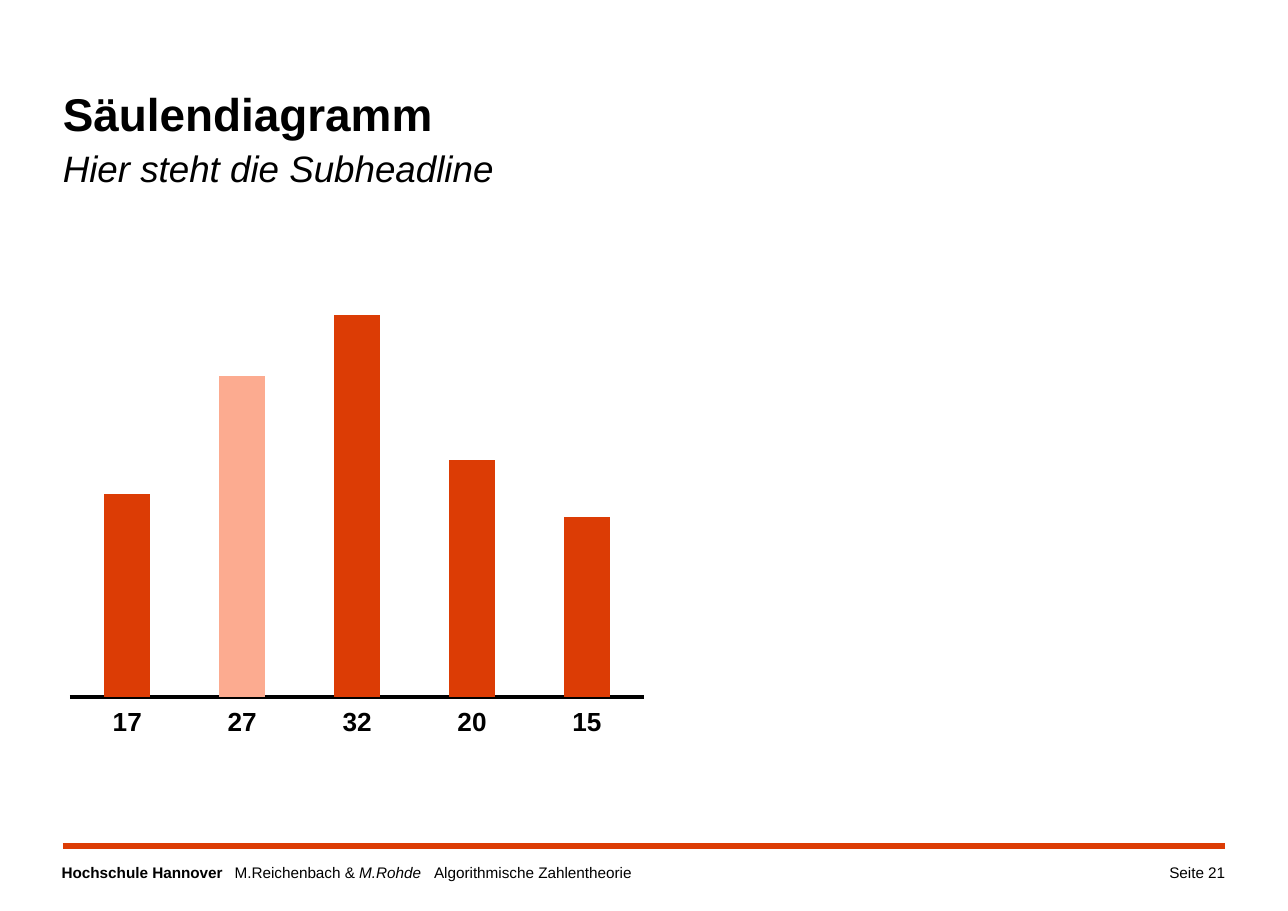
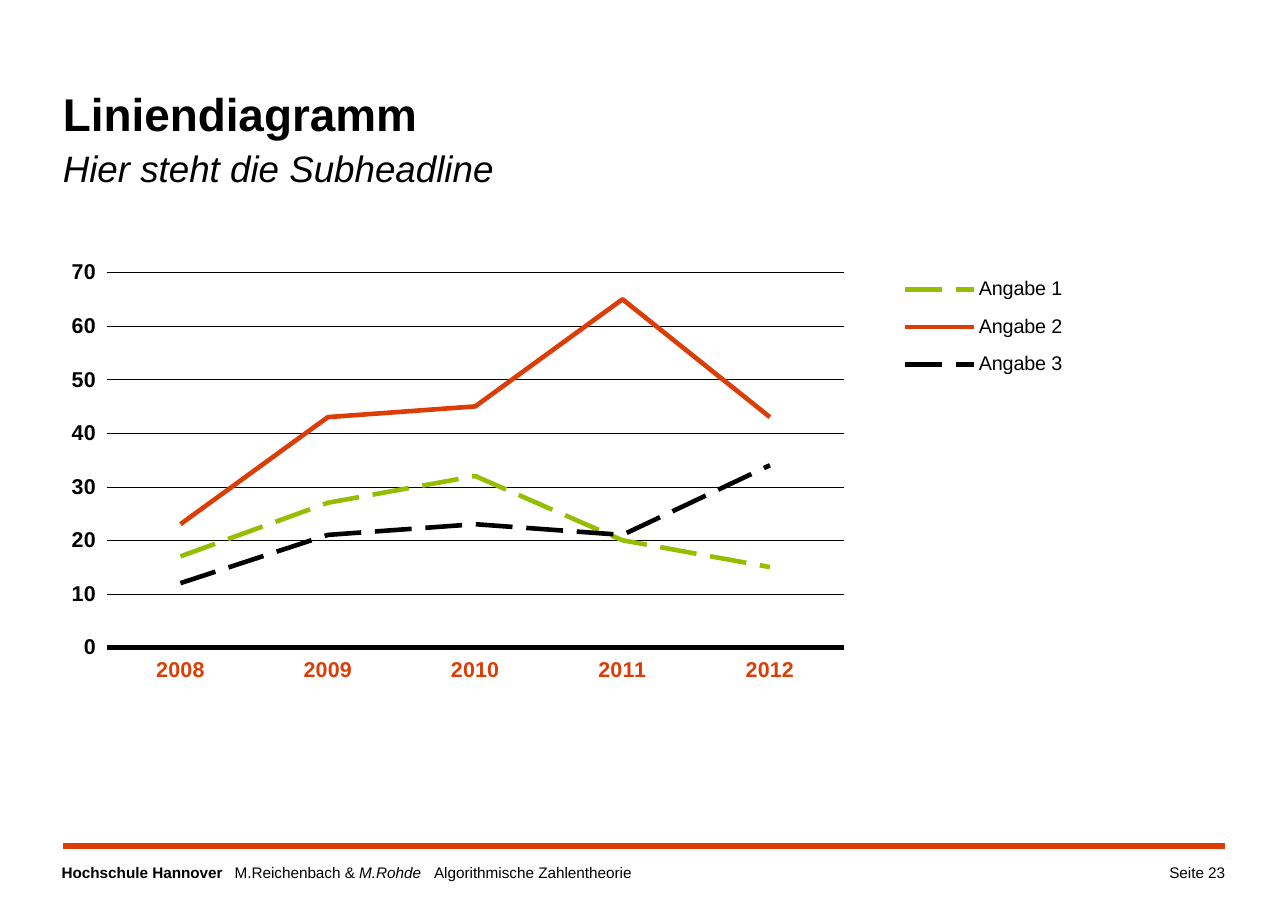
from dataclasses import dataclass
from typing import Any, Optional, Sequence

import lxml.etree
import pptx
import pptx.chart.data
import pptx.dml.color
import pptx.enum.chart
import pptx.enum.dml
import pptx.enum.shapes
import pptx.enum.text
import pptx.oxml.ns
import pptx.util

FONT = "Arial"
BLACK, WHITE = "000000", "FFFFFF"
ORANGE, PALE_ORANGE, GREEN = "DC3C05", "FCAB90", "96BE00"
LEFT, RIGHT = 0.57, 11.12
AXIS_LINE = 3

Inches = pptx.util.Inches
Pt = pptx.util.Pt
qn = pptx.oxml.ns.qn
Align = pptx.enum.text.PP_ALIGN
Dash = pptx.enum.dml.MSO_LINE_DASH_STYLE
ChartType = pptx.enum.chart.XL_CHART_TYPE
TickMark = pptx.enum.chart.XL_TICK_MARK


@dataclass
class Box:
    left: float
    top: float
    width: float
    height: float

    def lengths(self) -> list:
        return [Inches(v) for v in (self.left, self.top, self.width, self.height)]


@dataclass
class Run:
    text: str
    size: float = 10
    bold: bool = False
    italic: bool = False


@dataclass
class Series:
    name: str
    values: Sequence[int]
    color: str = ORANGE
    dash: Optional[Any] = None


FOOTER = [
    Run("Hochschule Hannover\t", bold=True),
    Run("M.Reichenbach & "),
    Run("M.Rohde\t", italic=True),
    Run("Algorithmische Zahlentheorie"),
]
FOOTER_TABS = (1.57, 3.38)

COLUMNS = Series("Series 1", (53, 84, 100, 62, 47))
HIGHLIGHTED_COLUMN = 1
LINES = [
    Series("Angabe 1", (17, 27, 32, 20, 15), GREEN, Dash.LONG_DASH),
    Series("Angabe 2", (23, 43, 45, 65, 43), ORANGE),
    Series("Angabe 3", (12, 21, 23, 21, 34), BLACK, Dash.LONG_DASH),
]


def rgb(color: str) -> pptx.dml.color.RGBColor:
    return pptx.dml.color.RGBColor.from_string(color)


def style_font(font: Any, size: float, color: str = BLACK, bold: bool = False,
               italic: bool = False) -> None:
    font.name, font.size = FONT, Pt(size)
    font.bold, font.italic = bold, italic
    font.color.rgb = rgb(color)


def style_line(line: Any, color: str, width: float) -> None:
    line.color.rgb = rgb(color)
    line.width = Pt(width)


def add_text(slide: Any, box: Box, lines: Sequence[Sequence[Run]], *,
             align: Any = Align.LEFT, spacing: float = 1.0,
             tabs: Sequence[float] = ()) -> None:
    """Write one paragraph whose lines are parted by line breaks."""
    frame = slide.shapes.add_textbox(*box.lengths()).text_frame
    frame.word_wrap = True
    frame.margin_left = frame.margin_right = 0
    frame.margin_top = frame.margin_bottom = 0
    paragraph = frame.paragraphs[0]
    paragraph.alignment = align
    paragraph.line_spacing = spacing
    if tabs:
        properties = paragraph._p.get_or_add_pPr()
        stops = lxml.etree.SubElement(properties, qn("a:tabLst"))
        for position in tabs:
            lxml.etree.SubElement(stops, qn("a:tab"), pos=str(Inches(position)), algn="l")
    for number, line in enumerate(lines):
        if number:
            paragraph.add_line_break()
        for part in line:
            run = paragraph.add_run()
            run.text = part.text
            style_font(run.font, part.size, bold=part.bold, italic=part.italic)


def add_slide(deck: Any, title: str, page: int) -> Any:
    """Add a slide with headline, footer rule, footer and page number."""
    slide = deck.slides.add_slide(deck.slide_layouts[6])
    slide.background.fill.solid()
    slide.background.fill.fore_color.rgb = rgb(WHITE)
    add_text(slide, Box(LEFT, 0.73, RIGHT - LEFT, 1.04),
             [[Run(title, 30, bold=True)],
              [Run("Hier steht die Subheadline", 24, italic=True)]], spacing=1.1)
    rule = slide.shapes.add_connector(
        pptx.enum.shapes.MSO_CONNECTOR.STRAIGHT,
        Inches(LEFT), Inches(7.68), Inches(RIGHT), Inches(7.68))
    style_line(rule.line, ORANGE, 4)
    lxml.etree.SubElement(rule._element.spPr, qn("a:effectLst"))
    add_text(slide, Box(0.56, 7.84, 8.44, 0.24), [FOOTER], tabs=FOOTER_TABS)
    add_text(slide, Box(9.78, 7.84, RIGHT - 9.78, 0.25), [[Run(f"Seite {page}")]],
             align=Align.RIGHT)
    return slide


def place_part(parent: Any, index: int, area: Box, inner: bool = False) -> None:
    """Fix a chart part at fractions of the chart's size."""
    for old in parent.findall(qn("c:layout")):
        parent.remove(old)
    layout = lxml.etree.Element(qn("c:layout"))
    manual = lxml.etree.SubElement(layout, qn("c:manualLayout"))
    settings = [("layoutTarget", "inner")] if inner else []
    settings += [("xMode", "edge"), ("yMode", "edge"), ("x", area.left),
                 ("y", area.top), ("w", area.width), ("h", area.height)]
    for tag, value in settings:
        lxml.etree.SubElement(manual, qn(f"c:{tag}"), val=str(value))
    parent.insert(index, layout)


def add_chart(slide: Any, kind: Any, box: Box, plot_area: Box,
              categories: Sequence[str], series: Sequence[Series], *,
              size: float, label_color: str, maximum: float) -> Any:
    data = pptx.chart.data.CategoryChartData()
    data.categories = categories
    for entry in series:
        data.add_series(entry.name, entry.values)
    chart = slide.shapes.add_chart(kind, *box.lengths(), data).chart
    chart.has_title = False
    chart.has_legend = False
    style_font(chart.font, size)
    chart.plots[0].vary_by_categories = False
    place_part(chart.element.xpath(".//c:plotArea")[0], 0, plot_area, inner=True)

    axis = chart.category_axis
    axis.major_tick_mark = axis.minor_tick_mark = TickMark.NONE
    axis.tick_label_position = pptx.enum.chart.XL_TICK_LABEL_POSITION.LOW
    style_font(axis.tick_labels.font, size, label_color, bold=True)
    style_line(axis.format.line, BLACK, AXIS_LINE)
    chart.value_axis.minimum_scale = 0
    chart.value_axis.maximum_scale = maximum
    return chart


def add_column_chart(slide: Any) -> None:
    chart = add_chart(slide, ChartType.COLUMN_CLUSTERED, Box(0.47, 2.4, 5.49, 4.85),
                      Box(0.03, 0.03, 0.95, 0.78), ("17", "27", "32", "20", "15"),
                      [COLUMNS], size=17.1, label_color=BLACK, maximum=109)
    chart.value_axis.visible = False
    chart.value_axis.has_major_gridlines = False
    plot = chart.plots[0]
    plot.gap_width = 150
    columns = plot.series[0]
    highlight = columns.points[HIGHLIGHTED_COLUMN]
    for part, color in ((columns, COLUMNS.color), (highlight, PALE_ORANGE)):
        part.format.fill.solid()
        part.format.fill.fore_color.rgb = rgb(color)


def add_line_chart(slide: Any) -> None:
    chart = add_chart(slide, ChartType.LINE, Box(0.31, 2, 9.42, 4.31),
                      Box(0.07, 0.11, 0.71, 0.79),
                      [str(year) for year in range(2008, 2013)], LINES,
                      size=14, label_color=ORANGE, maximum=70)
    axis = chart.value_axis
    axis.major_unit = 10
    axis.major_tick_mark = TickMark.OUTSIDE
    axis.minor_tick_mark = TickMark.NONE
    axis.format.line.fill.background()
    style_font(axis.tick_labels.font, 14, bold=True)
    style_line(axis.major_gridlines.format.line, BLACK, 0.25)
    for curve, entry in zip(chart.plots[0].series, LINES):
        curve.smooth = False
        curve.marker.style = pptx.enum.chart.XL_MARKER_STYLE.NONE
        style_line(curve.format.line, entry.color, 3)
        if entry.dash is not None:
            curve.format.line.dash_style = entry.dash
    chart.has_legend = True
    chart.legend.position = pptx.enum.chart.XL_LEGEND_POSITION.RIGHT
    chart.legend.include_in_layout = False
    style_font(chart.legend.font, 12.9)
    place_part(chart.element.xpath(".//c:legend")[0], 1, Box(0.83, 0.09, 0.17, 0.27))


def main() -> None:
    deck = pptx.Presentation()
    deck.slide_width, deck.slide_height = Inches(11.69), Inches(8.27)
    add_column_chart(add_slide(deck, "Säulendiagramm", 21))
    add_line_chart(add_slide(deck, "Liniendiagramm", 23))
    deck.save("out.pptx")


if __name__ == "__main__":
    main()
